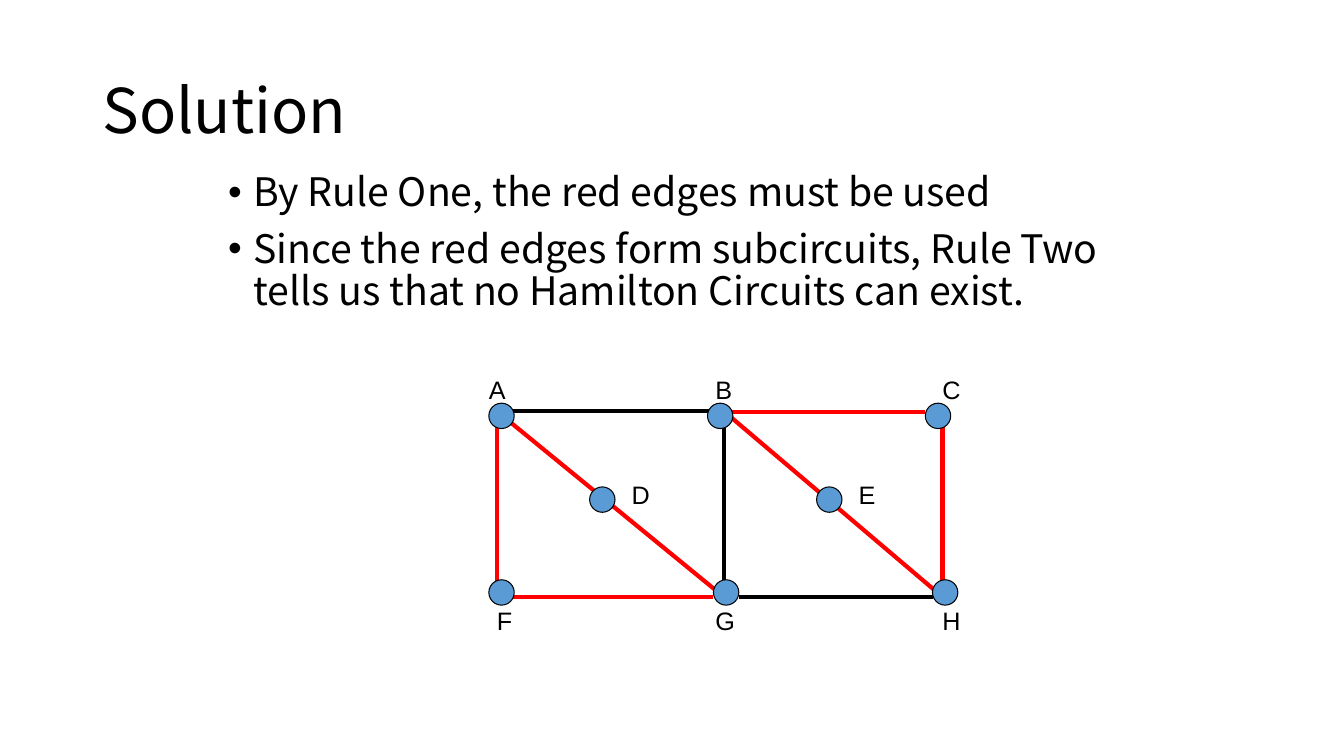
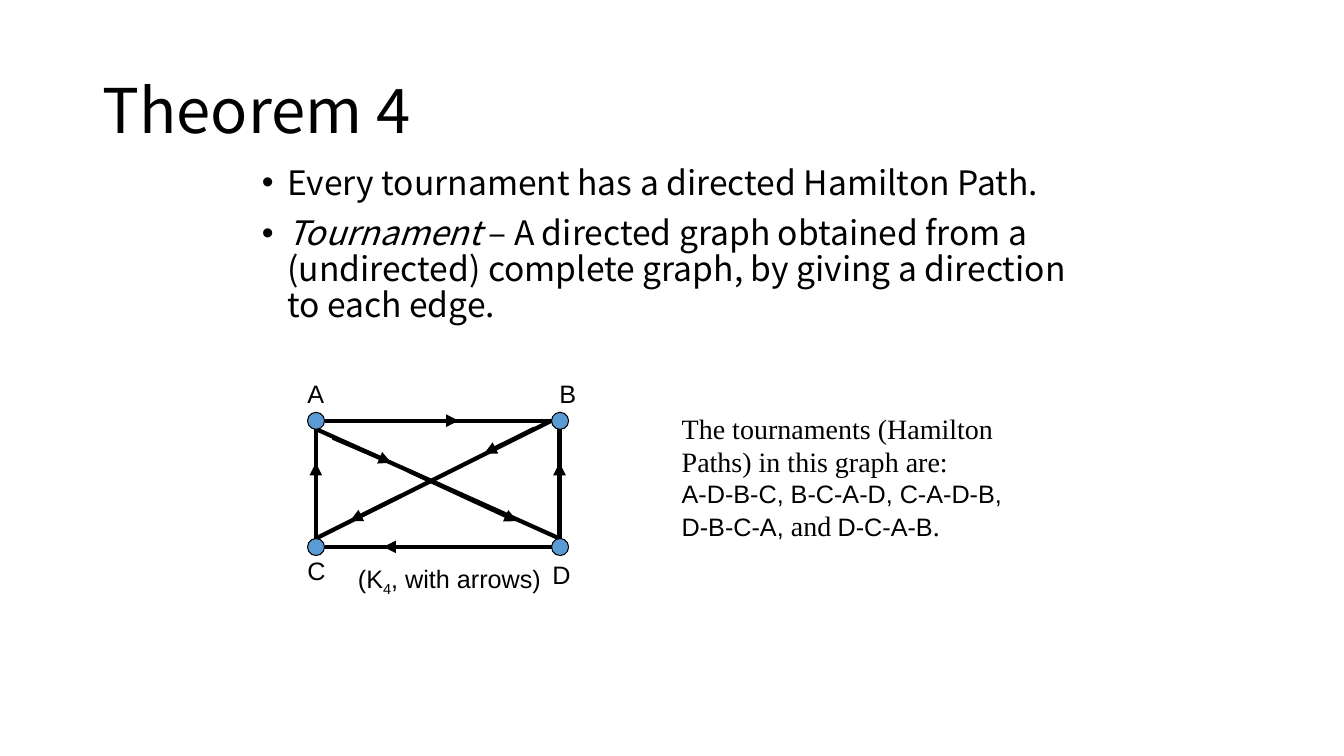
from lxml import etree
from pptx import Presentation
from pptx.dml.color import RGBColor
from pptx.enum.shapes import MSO_CONNECTOR, MSO_SHAPE
from pptx.enum.text import MSO_ANCHOR
from pptx.oxml.ns import qn
from pptx.util import Cm, Pt

LINE, OVAL = MSO_CONNECTOR.STRAIGHT, MSO_SHAPE.OVAL
TOP, MIDDLE = MSO_ANCHOR.TOP, MSO_ANCHOR.MIDDLE
COLORS = {"ink": "000000", "red": "FF0000", "node": "5B9BD5"}
HEAD = "Noto Sans CJK SC"
TITLE = {"name": HEAD, "size": Pt(44)}
LABEL = {"name": "Arial", "size": Pt(18)}
SERIF = {"name": "Times New Roman", "size": Pt(20)}
ITEM = {"line_spacing": 0.9, "space_before": Pt(10)}


def rgb(key):
    return RGBColor.from_string(COLORS[key])


def bullet(para):
    props = para._p.get_or_add_pPr()
    props.set("marL", str(Cm(0.64)))
    props.set("indent", str(-Cm(0.64)))
    font = etree.SubElement(props, qn("a:buFont"))
    font.set("typeface", "Arial")
    etree.SubElement(props, qn("a:buChar")).set("char", "•")


def write(slide, box, paras, look, form=None, anchor=TOP, marks=False):
    """Each paragraph is a list of (text, changes to the look)."""
    frame = slide.shapes.add_textbox(*map(Cm, box)).text_frame
    frame.word_wrap, frame.vertical_anchor = True, anchor
    for i, runs in enumerate(paras):
        para = frame.add_paragraph() if i else frame.paragraphs[0]
        if marks:
            bullet(para)
        for key, value in (form or {}).items():
            if i or key != "space_before":
                setattr(para, key, value)
        for text, change in runs:
            run = para.add_run()
            run.text = text
            run.font.color.rgb = rgb("ink")
            style = {**look, **change}
            base = style.pop("base", None)
            for key, value in style.items():
                setattr(run.font, key, value)
            if base:
                run._r.get_or_add_rPr().set("baseline", base)


def edge(slide, box, ends, color="ink", arrow=False):
    x, y = box
    a, b, c, d = ends
    line = slide.shapes.add_connector(
        LINE, Cm(x + a), Cm(y + b), Cm(x + c), Cm(y + d))
    line.line.color.rgb, line.line.width = rgb(color), Pt(3)
    if arrow:
        tail = etree.SubElement(line.line._get_or_add_ln(), qn("a:tailEnd"))
        tail.set("type", "triangle")
    etree.SubElement(line._element.spPr, qn("a:effectLst"))


def nodes(slide, box, size, spots):
    """Each spot maps a letter to its dot and label corners."""
    x, y = box
    for name, (left, top, tx, ty) in spots.items():
        dot = slide.shapes.add_shape(
            OVAL, Cm(x + left), Cm(y + top), Cm(size), Cm(size))
        dot.shadow.inherit = False
        dot.fill.solid()
        dot.fill.fore_color.rgb = rgb("node")
        dot.line.color.rgb, dot.line.width = rgb("ink"), Pt(0.75)
        write(slide, (x + tx, y + ty, 1.07, 1.02), [[(name, {})]], LABEL)


def page(deck, title, box, items, size):
    slide = deck.slides.add_slide(deck.slide_layouts[6])
    write(slide, (2.33, 1.02, 29.21, 3.68), [[(title, {})]], TITLE,
          {"line_spacing": 0.9}, MIDDLE)
    write(slide, box, items, {"name": HEAD, "size": Pt(size)}, ITEM,
          marks=True)
    return slide


# Two joined squares with the forced edges in red
def circuit(slide, box):
    left, mid, right, top, low = 0.2, 5.92, 11.43, 0.2, 4.88
    red = [(left, top, left, low), (0.58, low, 5.66, low),
           (mid, 0.23, 11, 0.23), (right, top, right, low),
           (left, top, mid, low), (mid, top, right, low)]
    black = [(6.3, low, 11.18, low), (0.58, top, 5.66, top),
             (mid, top, mid, low)]
    for color, group in (("red", red), ("ink", black)):
        for ends in group:
            edge(slide, box, ends, color)
    nodes(slide, box, 0.64, {
        "A": (0, 0, -0.25, -0.84), "B": (5.51, 0, 5.46, -0.84),
        "C": (11, 0, 11.18, -0.84), "D": (2.54, 2.11, 3.35, 1.8),
        "E": (8.26, 2.11, 9.07, 1.8), "F": (0, 4.45, -0.05, 4.98),
        "G": (5.66, 4.45, 5.46, 4.98), "H": (11.18, 4.45, 11.18, 4.98)})


# Complete graph on four nodes, with a direction on each edge
def tourney(slide, box):
    left, right, top, low = 0.21, 6.35, 0.21, 3.39
    near, far, high, deep = 0.43, 6.15, 0.42, 3.18
    plain = [(left, high, left, deep), (near, low, far, low),
             (right, high, right, deep), (near, top, far, top),
             (left, deep, far, top), (left, high, right, deep)]
    heads = [(0.84, top, 3.81, top), (2.54, 1.47, 5.28, 2.74),
             (0.64, 0.64, 2.11, 1.27), (right, 2.95, right, 1.27),
             (left, 2.74, left, 1.27), (5.72, 0.41, 4.45, 1.04),
             (2.34, 2.11, 1.07, 2.74), (4.65, low, 1.91, low)]
    for group, arrow in ((plain, False), (heads, True)):
        for ends in group:
            edge(slide, box, ends, arrow=arrow)
    nodes(slide, box, 0.43, {
        "A": (0, 0, -0.25, -0.97), "B": (far, 0, 6.1, -0.97),
        "C": (0, deep, -0.25, 3.48), "D": (far, deep, 5.92, 3.58)})
    x, y = box
    write(slide, (x + 1.02, y + 3.68, 5.4, 1.02),
          [[("(K", {}), ("4", {"base": "-25000"}), (", with arrows)", {})]],
          LABEL)


def solution(deck):
    slide = page(deck, "Solution", (5.5, 4.23, 22.86, 4.88), [
        [("By Rule One, the red edges must be used", {})],
        [("Since the red edges form subcircuits, Rule Two tells us that "
          "no Hamilton Circuits can exist.", {})]], 28)
    circuit(slide, (12.32, 10.16))


def theorem(deck):
    slide = page(deck, "Theorem 4", (6.35, 4.06, 21.59, 5.18), [
        [("Every tournament has a directed Hamilton Path.", {})],
        [("Tournament", {"italic": True}),
         (" – A directed graph obtained from a (undirected) complete "
          "graph, by giving a direction to each edge.", {})]], 24)
    tourney(slide, (7.75, 10.39))
    # List of paths
    write(slide, (16.93, 10.24, 9.1, 3.56), [
        [("The tournaments (Hamilton Paths) in this graph are:", {})],
        [("A-D-B-C, B-C-A-D, C-A-D-B, D-B-C-A, ", LABEL), ("and", {}),
         (" ", {"size": Pt(18)}), ("D-C-A-B", LABEL), (".", {})]], SERIF)


def main():
    deck = Presentation()
    deck.slide_width, deck.slide_height = Cm(33.87), Cm(19.05)
    solution(deck)
    theorem(deck)
    deck.save("out.pptx")


if __name__ == "__main__":
    main()
